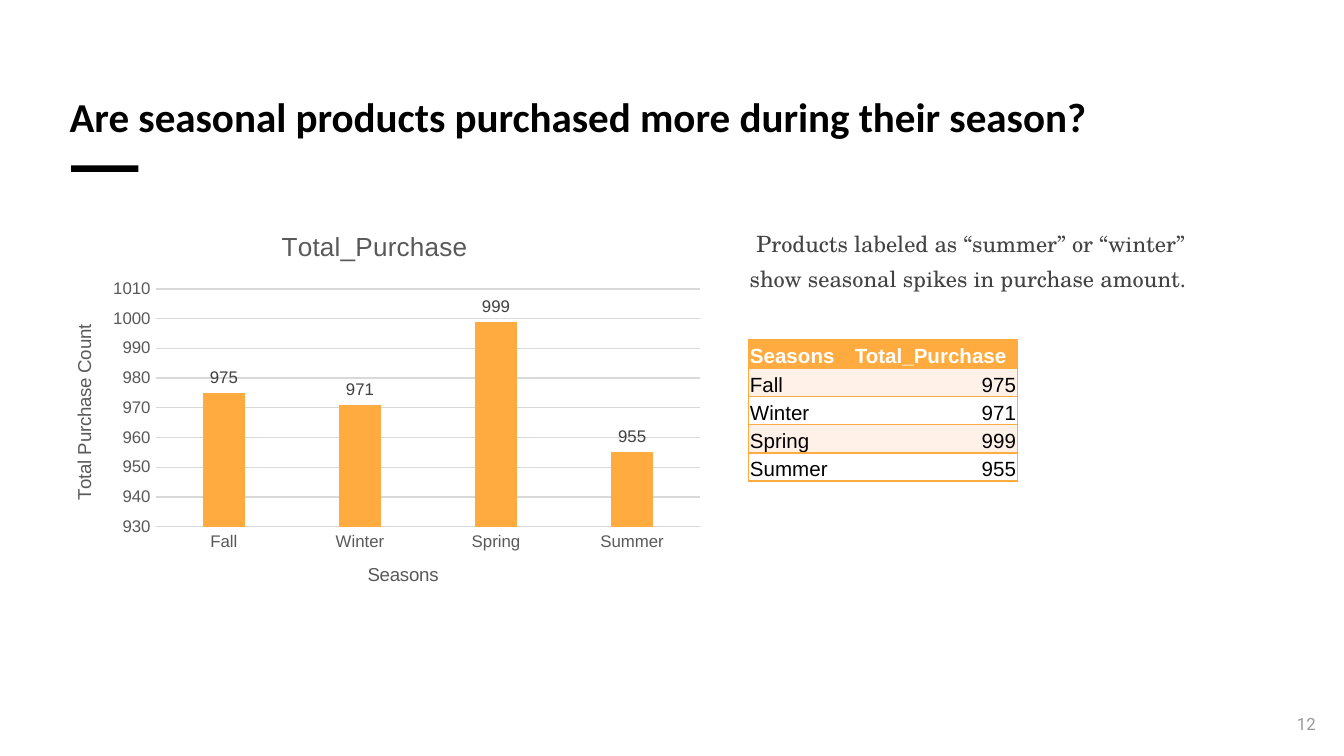
from lxml import etree
from pptx import Presentation
from pptx.chart.data import CategoryChartData
from pptx.dml.color import RGBColor
from pptx.enum.chart import XL_CHART_TYPE as CT, XL_LABEL_POSITION as LP, XL_TICK_MARK as TM
from pptx.enum.shapes import MSO_SHAPE
from pptx.enum.text import MSO_ANCHOR, PP_ALIGN
from pptx.oxml.ns import qn
from pptx.util import Inches, Pt

# Content
TITLE = "Are seasonal products purchased more during their season?"
FINDING = "Products labeled as “summer” or “winter” show seasonal spikes in purchase amount."
PAGE = "12"
HEAD = ("Seasons", "Total_Purchase")
COUNTS = [("Fall", 975), ("Winter", 971), ("Spring", 999), ("Summer", 955)]
VALUE_TITLE = "Total Purchase Count"

THEME = {
    "black": "000000", "white": "FFFFFF", "accent": "FFAB40", "band": "FFF1E8",
    "body": "434343", "axis": "595959", "label": "404040", "grid": "D9D9D9", "page": "999999",
    "head_font": "Calibri", "body_font": "TeX Gyre Schola", "data_font": "Arial", "page_font": "Roboto",
    "title_size": 22, "body_size": 12, "table_size": 11, "page_size": 9,
    "chart_title_size": 14, "axis_title_size": 10, "tick_size": 9,
}
PLAIN_TABLE = "{2D5ABB26-0587-4C30-8999-92F81FD0307C}"  # no style, no grid


def color(name):
    return RGBColor.from_string(THEME[name])


def style(font, face, size, tone, bold=False):
    font.name, font.size, font.bold = THEME[face], Pt(THEME[size]), bold
    font.color.rgb = color(tone)


def write(tf, text, face, size, tone, bold=False, align=PP_ALIGN.LEFT, spacing=None):
    p = tf.paragraphs[0]
    p.alignment = align
    if spacing:
        p.line_spacing = spacing
    r = p.add_run()
    r.text = text
    style(r.font, face, size, tone, bold)
    return p


def text_box(slide, box, text, inset=0.1, anchor=MSO_ANCHOR.TOP, **fmt):
    tf = slide.shapes.add_textbox(*map(Inches, box)).text_frame
    tf.word_wrap, tf.vertical_anchor = True, anchor
    tf.margin_left = tf.margin_right = tf.margin_top = tf.margin_bottom = Inches(inset)
    return write(tf, text, **fmt)


def place(parent, index, x, y, w=None, h=None):
    """Give a chart part a fixed place, in fractions of the chart."""
    for old in parent.findall(qn("c:layout")):
        parent.remove(old)
    layout = etree.Element(qn("c:layout"))
    manual = etree.SubElement(layout, qn("c:manualLayout"))
    values = {"xMode": "edge", "yMode": "edge", "x": x, "y": y}
    if w:
        values = {"layoutTarget": "inner", **values, "w": w, "h": h}
    for key, value in values.items():
        etree.SubElement(manual, qn(f"c:{key}")).set("val", str(value))
    parent.insert(index, layout)


def chart_heading(title, text, size, x, y):
    write(title.text_frame, text, "data_font", size, "axis", align=None)
    place(title._element, 1, x, y)


def add_chart(slide):
    data = CategoryChartData()
    data.categories = [season for season, _ in COUNTS]
    data.add_series(HEAD[1], [count for _, count in COUNTS])
    frame = slide.shapes.add_chart(CT.COLUMN_CLUSTERED, *map(Inches, (0.31, 1.55, 5, 3)), data)
    chart = frame.chart
    style(chart.font, "data_font", "tick_size", "axis")
    chart.has_legend = False
    chart.has_title = True
    chart_heading(chart.chart_title, HEAD[1], "chart_title_size", 0.35, 0.04)
    place(chart._chartSpace.chart.plotArea, 0, 0.17, 0.2, 0.81, 0.59)

    # Axes
    cat, val = chart.category_axis, chart.value_axis
    for axis, text, x, y in ((cat, HEAD[0], 0.48, 0.87), (val, VALUE_TITLE, 0.04, 0.28)):
        axis.major_tick_mark = axis.minor_tick_mark = TM.NONE
        style(axis.tick_labels.font, "data_font", "tick_size", "axis")
        chart_heading(axis.axis_title, text, "axis_title_size", x, y)
    val.axis_title.text_frame._txBody.bodyPr.set("rot", "-5400000")
    val.minimum_scale, val.maximum_scale, val.major_unit = 930, 1010, 10
    val.has_major_gridlines = True
    val.format.line.fill.background()
    for line in (cat.format.line, val.major_gridlines.format.line):
        line.color.rgb, line.width = color("grid"), Pt(0.75)

    # Columns and their values
    plot = chart.plots[0]
    plot.gap_width, plot.overlap, plot.vary_by_categories = 219, -27, False
    fill = plot.series[0].format.fill
    fill.solid()
    fill.fore_color.rgb = color("accent")
    labels = plot.series[0].data_labels
    labels.show_value, labels.position = True, LP.OUTSIDE_END
    style(labels.font, "data_font", "tick_size", "label")


def border(cell, sides):
    props = cell._tc.get_or_add_tcPr()
    for i, side in enumerate(sides):
        ln = etree.Element(qn(f"a:ln{side}"), w=str(Pt(1)))
        fill = etree.SubElement(ln, qn("a:solidFill"))
        etree.SubElement(fill, qn("a:srgbClr"), val=THEME["accent"])
        props.insert(i, ln)


def add_table(slide):
    rows, widths, height = [HEAD, *COUNTS], (0.78, 1.22), 0.21
    box = (5.57, 2.53, sum(widths), height * len(rows))
    table = slide.shapes.add_table(len(rows), len(widths), *map(Inches, box)).table
    table._tbl.tblPr.find(qn("a:tableStyleId")).text = PLAIN_TABLE
    for column, width in zip(table.columns, widths):
        column.width = Inches(width)
    for i, row in enumerate(rows):
        table.rows[i].height = Inches(height)
        head = i == 0
        for j, value in enumerate(row):
            cell = table.cell(i, j)
            cell.margin_left = cell.margin_right = cell.margin_top = Inches(0.01)
            cell.margin_bottom = 0
            cell.vertical_anchor = MSO_ANCHOR.BOTTOM
            cell.fill.solid()
            cell.fill.fore_color.rgb = color("accent" if head else "band" if i % 2 else "white")
            border(cell, "RTB" if j else "LTB")
            write(cell.text_frame, str(value), "data_font", "table_size",
                  "white" if head else "black", bold=head,
                  align=PP_ALIGN.RIGHT if j and not head else PP_ALIGN.LEFT)


def main():
    # Wide 16:9 slide
    prs = Presentation()
    prs.slide_width = Inches(10)
    prs.slide_height = prs.slide_width * 9 // 16
    slide = prs.slides.add_slide(prs.slide_layouts[6])

    # Accent bar, page number and title
    bar = slide.shapes.add_shape(MSO_SHAPE.RECTANGLE, *map(Inches, (0.53, 1.23, 0.5, 0.05)))
    bar.shadow.inherit = False
    bar.fill.solid()
    bar.fill.fore_color.rgb = color("black")
    bar.line.fill.background()
    text_box(slide, (9.46, 5.28, 0.36, 0.21), PAGE, inset=0.03, face="page_font",
             size="page_size", tone="page", align=PP_ALIGN.RIGHT)
    text_box(slide, (0.42, 0.67, 9.14, 0.38), TITLE, anchor=MSO_ANCHOR.MIDDLE,
             face="head_font", size="title_size", tone="black", bold=True)

    # Finding, with its first line slightly indented
    p = text_box(slide, (5.31, 1.55, 3.78, 2.86), FINDING, face="body_font",
                 size="body_size", tone="body", spacing=1.3)
    props = p._p.get_or_add_pPr()
    props.set("marL", str(Inches(0.17)))
    props.set("indent", str(Inches(0.05)))

    add_table(slide)
    add_chart(slide)
    prs.save("out.pptx")


if __name__ == "__main__":
    main()
